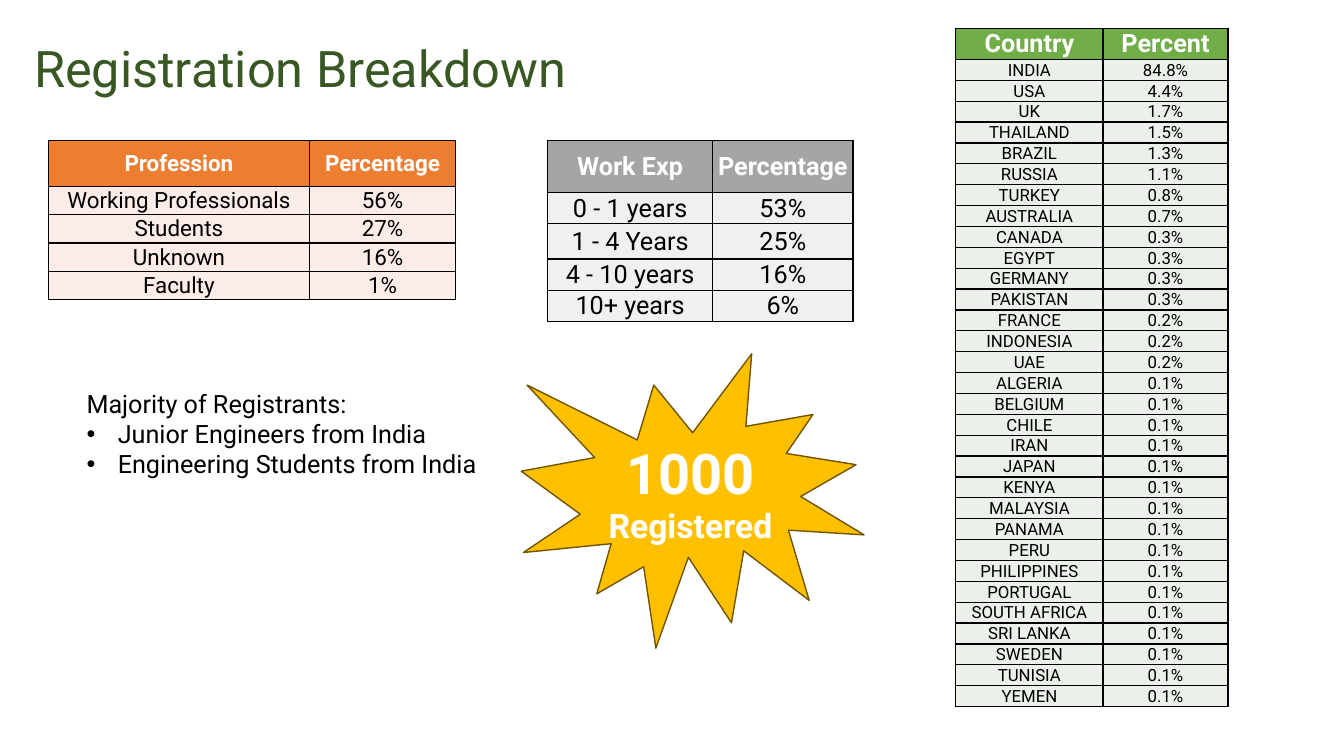
from pptx import Presentation, util as u
from pptx.dml.color import RGBColor
from pptx.enum import shapes, text
from pptx.oxml import parse_xml
from pptx.oxml.ns import nsdecls

# Content
TITLE = "Registration Breakdown"
PROFESSIONS = [("Profession", "Percentage"), ("Working Professionals", "56%"),
               ("Students", "27%"), ("Unknown", "16%"), ("Faculty", "1%")]
EXPERIENCE = [("Work Exp", "Percentage"), ("0 - 1 years", "53%"),
              ("1 - 4 Years", "25%"), ("4 - 10 years", "16%"), ("10+ years", "6%")]
COUNTRIES_BY_SHARE = [
    ("84.8%", ["INDIA"]), ("4.4%", ["USA"]), ("1.7%", ["UK"]),
    ("1.5%", ["THAILAND"]), ("1.3%", ["BRAZIL"]), ("1.1%", ["RUSSIA"]),
    ("0.8%", ["TURKEY"]), ("0.7%", ["AUSTRALIA"]),
    ("0.3%", ["CANADA", "EGYPT", "GERMANY", "PAKISTAN"]),
    ("0.2%", ["FRANCE", "INDONESIA", "UAE"]),
    ("0.1%", ["ALGERIA", "BELGIUM", "CHILE", "IRAN", "JAPAN", "KENYA",
              "MALAYSIA", "PANAMA", "PERU", "PHILIPPINES", "PORTUGAL",
              "SOUTH AFRICA", "SRI LANKA", "SWEDEN", "TUNISIA", "YEMEN"]),
]
COUNTRIES = [("Country", "Percent")] + [
    (name, share) for share, names in COUNTRIES_BY_SHARE for name in names]
MAJORITY = ["Majority of Registrants:", "Junior Engineers from India",
            "Engineering Students from India"]
BADGE = [("1000", 40), (" Registered", 24)]

# Table layouts in inches: left, top, column widths, row heights
TABLES = [
    dict(rows=PROFESSIONS, left=0.48, top=1.39, widths=(2.59, 1.45),
         heights=[0.46] + [0.28] * 4, sizes=(16, 16), fills=("ED7D31", "FCECE8")),
    dict(rows=EXPERIENCE, left=5.43, top=1.39, widths=(1.64, 1.39),
         heights=[0.52, 0.31, 0.35, 0.31, 0.31], sizes=(18, 18),
         fills=("A5A5A5", "F0F0F0")),
    dict(rows=COUNTRIES, left=9.48, top=0.28, widths=(1.46, 1.24),
         heights=[0.31] + [6.43 / 31] * 31, sizes=(18, 12),
         fills=("70AD47", "EBF1E9")),
]
CELL_FORMAT = dict(margin_left=u.Inches(0.01), margin_right=u.Inches(0.01),
                   margin_top=u.Inches(0.01), margin_bottom=0,
                   vertical_anchor=text.MSO_ANCHOR.MIDDLE)


def rgb(code):
    return RGBColor.from_string(code)


def apply(target, values):
    for key, value in values.items():
        setattr(target, key, value)


def style(font, size, color, bold=False):
    apply(font, dict(name="Roboto", size=u.Pt(size), bold=bold))
    font.color.rgb = rgb(color)


def add_text_box(slide, *box):
    frame = slide.shapes.add_textbox(*map(u.Inches, box)).text_frame
    frame.word_wrap = True
    return frame


def add_borders(cell):
    properties = cell._tc.get_or_add_tcPr()
    for side in "LRTB":
        properties.append(parse_xml(
            f'<a:ln{side} {nsdecls("a")} w="12700"><a:solidFill>'
            f'<a:srgbClr val="000000"/></a:solidFill></a:ln{side}>'))


def add_breakdown(slide, rows, left, top, widths, heights, sizes, fills):
    box = map(u.Inches, (left, top, sum(widths), sum(heights)))
    table = slide.shapes.add_table(len(rows), len(widths), *box).table
    for column, width in zip(table.columns, widths):
        column.width = u.Inches(width)
    for r, (row, height) in enumerate(zip(rows, heights)):
        table.rows[r].height = u.Inches(height)
        header = r == 0
        kind = 0 if header else 1
        for c, value in enumerate(row):
            cell = table.cell(r, c)
            apply(cell, CELL_FORMAT)
            add_borders(cell)
            cell.fill.solid()
            cell.fill.fore_color.rgb = rgb(fills[kind])
            line = cell.text_frame.paragraphs[0]
            line.alignment = text.PP_ALIGN.CENTER
            run = line.add_run()
            run.text = value
            style(run.font, sizes[kind], "FFFFFF" if header else "000000", header)


def main():
    deck = Presentation()
    apply(deck, dict(slide_width=u.Inches(13.33), slide_height=u.Inches(7.5)))
    slide = deck.slides.add_slide(deck.slide_layouts[6])

    # Tables
    for table in TABLES:
        add_breakdown(slide, **table)

    # Title
    title = add_text_box(slide, 0.24, 0.31, 11.5, 0.79)
    title.vertical_anchor = text.MSO_ANCHOR.MIDDLE
    heading = title.paragraphs[0]
    heading.line_spacing = 0.9
    run = heading.add_run()
    run.text = TITLE
    style(run.font, 36, "385723")

    # Majority summary: lead-in line, then bullets
    summary = add_text_box(slide, 0.76, 3.8, 7.01, 1.01)
    summary.auto_size = text.MSO_AUTO_SIZE.SHAPE_TO_FIT_TEXT
    for i, words in enumerate(MAJORITY):
        line = summary.add_paragraph() if i else summary.paragraphs[0]
        if i:
            properties = line._p.get_or_add_pPr()
            indent = u.Inches(0.31)
            properties.set("marL", str(indent))
            properties.set("indent", str(-indent))
            properties.append(parse_xml(f'<a:buFont {nsdecls("a")} typeface="Arial"/>'))
            properties.append(parse_xml(f'<a:buChar {nsdecls("a")} char="•"/>'))
        run = line.add_run()
        run.text = words
        style(run.font, 18, "000000")

    # Registration badge
    badge = slide.shapes.add_shape(shapes.MSO_SHAPE.EXPLOSION1,
                                   *map(u.Inches, (5.17, 3.51, 3.4, 2.92)))
    badge.shadow.inherit = False
    badge.fill.solid()
    badge.fill.fore_color.rgb = rgb("FFC000")
    badge.line.color.rgb = rgb("705400")
    badge.line.width = u.Pt(1)
    apply(badge.text_frame, dict(word_wrap=True,
                                 vertical_anchor=text.MSO_ANCHOR.MIDDLE))
    line = badge.text_frame.paragraphs[0]
    line.alignment = text.PP_ALIGN.CENTER
    for words, size in BADGE:
        run = line.add_run()
        run.text = words
        style(run.font, size, "FFFFFF", True)

    deck.save("out.pptx")


if __name__ == "__main__":
    main()
